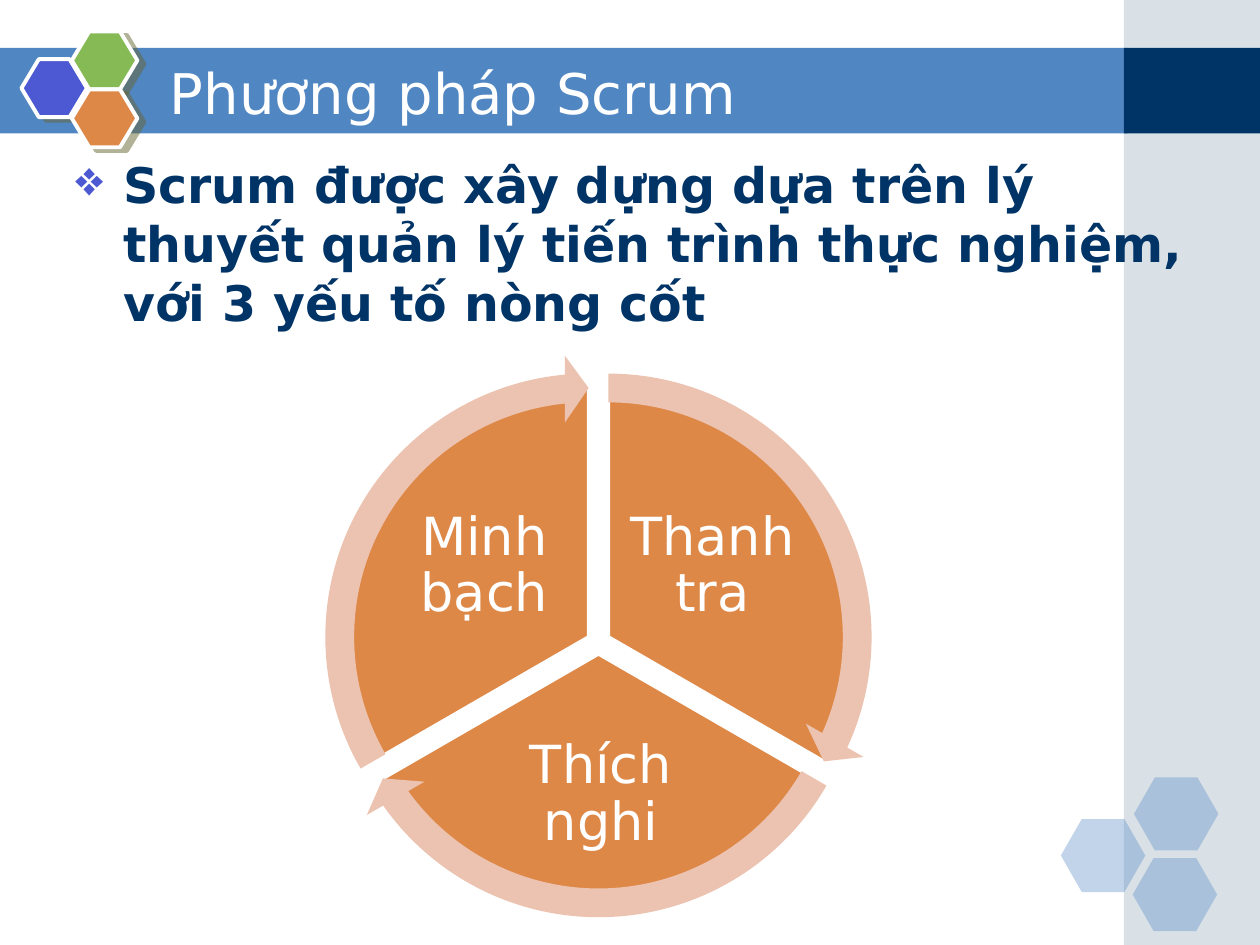
from math import cos, radians, sin

from lxml import etree
from pptx import Presentation
from pptx.dml.color import RGBColor
from pptx.enum.shapes import MSO_SHAPE
from pptx.enum.text import MSO_ANCHOR, PP_ALIGN
from pptx.oxml.ns import qn
from pptx.util import Inches, Pt

RECT, HEXAGON = MSO_SHAPE.RECTANGLE, MSO_SHAPE.HEXAGON
PIE, CYCLE_ARROW = MSO_SHAPE.PIE, MSO_SHAPE.CIRCULAR_ARROW
TOP, MIDDLE = MSO_ANCHOR.TOP, MSO_ANCHOR.MIDDLE
LEFT, CENTER = PP_ALIGN.LEFT, PP_ALIGN.CENTER

WIDTH, HEIGHT = 10, 7.5
FONT = "DejaVu Sans"
WHITE, NAVY, BLUE = "FFFFFF", "003366", "5086C2"
INDIGO, GREEN, ORANGE, PEACH = "4C59D2", "85BA54", "DE8848", "ECC3B1"
DEGREE = 0.6  # adjustment units in one degree

BAND_TOP, BAND_HEIGHT = 0.38, 0.68
SIDE_LEFT = 8.92

# Wheel: hub, gap from the hub to each slice, diameters, arrow tip in degrees
HUB_X, HUB_Y, SPREAD = 4.75, 5.1, 0.09
SLICE_SIZE, ARROW_SIZE, TIP = 3.99, 4.48, 5.46
# Label, its box, start angle of the slice
SLICES = [
    ("Thanh tra", (4.94, 3.9, 1.43, 1.19), 270),
    ("Thích nghi", (3.7, 5.79, 2.14, 1.04), 30),
    ("Minh bạch", (3.13, 3.9, 1.43, 1.19), 150),
]


def color(value):
    return RGBColor.from_string(value)


def add_child(parent, tag, **attributes):
    child = etree.SubElement(parent, qn(tag))
    for key, value in attributes.items():
        child.set(key, str(value))
    return child


def add_alpha(color_element, percent):
    add_child(color_element, "a:alpha", val=percent * 1000)


def add_figure(slide, kind, box, fill, alpha=None, line=None, line_width=2, adjust=()):
    figure = slide.shapes.add_shape(kind, *map(Inches, box))
    figure.shadow.inherit = False
    for index, value in enumerate(adjust):
        figure.adjustments[index] = value
    figure.fill.solid()
    figure.fill.fore_color.rgb = color(fill)
    if alpha is not None:
        add_alpha(figure.element.spPr.find(qn("a:solidFill"))[0], alpha)
    if line:
        figure.line.color.rgb = color(line)
        figure.line.width = Pt(line_width)
    else:
        figure.line.fill.background()
    return figure


def add_hard_shadow(figure):
    effects = figure.element.spPr.find(qn("a:effectLst"))
    shadow = add_child(effects, "a:outerShdw", blurRad=0, dist=Pt(4.5),
                       dir=27 * 60000, algn="ctr", rotWithShape=0)
    add_alpha(add_child(shadow, "a:srgbClr", val="666633"), 50)


def add_text(slide, box, text, size, ink=WHITE, bold=False, align=LEFT, anchor=TOP,
             inset=None, spacing=None, before=0, after=0):
    frame = slide.shapes.add_textbox(*map(Inches, box)).text_frame
    frame.word_wrap = True
    frame.vertical_anchor = anchor
    if inset is not None:
        frame.margin_left = frame.margin_right = Inches(inset)
        frame.margin_top = frame.margin_bottom = Inches(inset)
    paragraph = frame.paragraphs[0]
    paragraph.alignment = align
    paragraph.space_before, paragraph.space_after = Pt(before), Pt(after)
    if spacing:
        paragraph.line_spacing = spacing
    run = paragraph.add_run()
    run.text = text
    run.font.name, run.font.size, run.font.bold = FONT, Pt(size), bold
    run.font.color.rgb = color(ink)
    return paragraph


def add_bullet(paragraph, symbol, ink, indent):
    properties = paragraph._p.get_or_add_pPr()
    properties.set("marL", str(Inches(indent)))
    properties.set("indent", str(-Inches(indent)))
    add_child(add_child(properties, "a:buClr"), "a:srgbClr", val=ink)
    add_child(properties, "a:buChar", char=symbol)


def draw_backdrop(slide):
    # Title band and side column
    add_figure(slide, RECT, (0, BAND_TOP, SIDE_LEFT + 0.03, BAND_HEIGHT), BLUE)
    side_width = WIDTH - SIDE_LEFT
    add_figure(slide, RECT, (SIDE_LEFT, 0, side_width, HEIGHT), "A0B5C4", alpha=40)
    add_figure(slide, RECT, (SIDE_LEFT, BAND_TOP, side_width, BAND_HEIGHT), NAVY)

    # Pale hexagons in the corner
    for left, top in [(8.42, 6.5), (9, 6.17), (8.99, 6.81)]:
        add_figure(slide, HEXAGON, (left, top, 0.67, 0.58), BLUE, alpha=35,
                   adjust=[0.286])

    # Coloured hexagons beside the title
    for left, top, fill in [(0.17, 0.47, INDIGO), (0.57, 0.25, GREEN),
                            (0.57, 0.71, ORANGE)]:
        cell = add_figure(slide, HEXAGON, (left, top, 0.52, 0.46), fill, line=WHITE,
                          line_width=2.25, adjust=[0.3])
        add_hard_shadow(cell)


def wheel_box(start, size):
    """Square around a slice's centre, moved from the hub along its bisector."""
    bisector = radians(start + 60)
    return (HUB_X + SPREAD * cos(bisector) - size / 2,
            HUB_Y + SPREAD * sin(bisector) - size / 2, size, size)


def draw_wheel(slide):
    for label, label_box, start in SLICES:
        end = (start + 120) % 360
        add_figure(slide, PIE, wheel_box(start, SLICE_SIZE), ORANGE, line=WHITE,
                   adjust=[start * DEGREE, end * DEGREE])
        add_text(slide, label_box, label, 30, align=CENTER, anchor=MIDDLE,
                 inset=0.04, spacing=0.9, after=10.5)
    # Arrows lie over all slices
    for _, _, start in SLICES:
        end = (start + 120) % 360
        add_figure(slide, CYCLE_ARROW, wheel_box(start, ARROW_SIZE), PEACH,
                   adjust=[0.051, TIP * DEGREE, (end - TIP) * DEGREE,
                           start * DEGREE, 0.059])


def main():
    deck = Presentation()
    deck.slide_width, deck.slide_height = Inches(WIDTH), Inches(HEIGHT)
    slide = deck.slides.add_slide(deck.slide_layouts[6])

    draw_backdrop(slide)
    add_text(slide, (1.25, 0.42, 7.33, 0.62), "Phương pháp Scrum", 32, anchor=MIDDLE)
    statement = add_text(
        slide, (0.5, 1.18, 9, 5.74),
        "Scrum được xây dựng dựa trên lý thuyết quản lý tiến trình thực nghiệm, "
        "với 3 yếu tố nòng cốt", 28, ink=NAVY, bold=True, before=5.6)
    add_bullet(statement, "❖", INDIGO, 0.38)
    draw_wheel(slide)

    deck.save("out.pptx")


if __name__ == "__main__":
    main()
